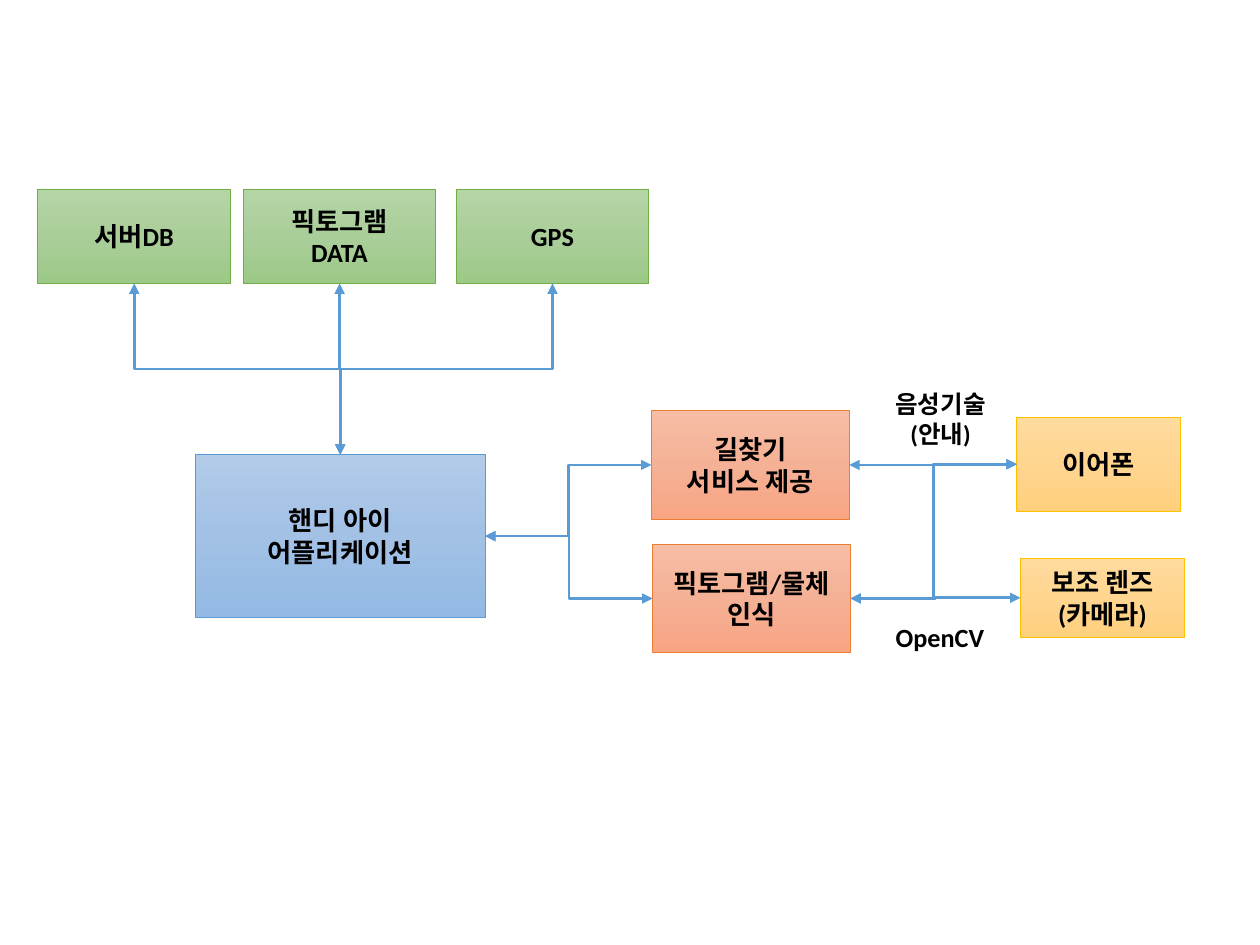
import copy
from dataclasses import dataclass

import pptx
import pptx.dml.color
import pptx.enum.shapes
import pptx.enum.text
import pptx.oxml
import pptx.oxml.ns
import pptx.util
from pptx.util import Inches

RGBColor = pptx.dml.color.RGBColor
BLACK = RGBColor(0x00, 0x00, 0x00)
BLUE = RGBColor(0x5B, 0x9B, 0xD5)
GREEN = RGBColor(0x70, 0xAD, 0x47)
ORANGE = RGBColor(0xED, 0x7D, 0x31)
GOLD = RGBColor(0xFF, 0xC0, 0x00)
FONT = "Calibri"
TOP, LEFT, BOTTOM, RIGHT = range(4)


@dataclass(frozen=True)
class Style:
    line: RGBColor
    stops: tuple[RGBColor, RGBColor, RGBColor]


@dataclass(frozen=True)
class Box:
    name: str
    text: str
    left: float
    top: float
    width: float
    height: float
    style: Style


@dataclass(frozen=True)
class Label:
    text: str
    left: float
    top: float
    width: float
    height: float
    size: int
    alignment: pptx.enum.text.PP_ALIGN


@dataclass(frozen=True)
class Link:
    begin: str
    begin_side: int
    end: str
    end_side: int


APPLICATION = Style(BLUE, (RGBColor(0xB1, 0xCB, 0xE9), RGBColor(0xA3, 0xC1, 0xE5), RGBColor(0x93, 0xB9, 0xE4)))
DATA = Style(GREEN, (RGBColor(0xB5, 0xD5, 0xA7), RGBColor(0xAA, 0xCE, 0x9A), RGBColor(0x9C, 0xC9, 0x87)))
SERVICE = Style(ORANGE, (RGBColor(0xF7, 0xBD, 0xA5), RGBColor(0xF5, 0xB1, 0x96), RGBColor(0xF8, 0xA5, 0x82)))
DEVICE = Style(GOLD, (RGBColor(0xFF, 0xDB, 0x9E), RGBColor(0xFF, 0xD5, 0x90), RGBColor(0xFF, 0xD0, 0x7C)))

BOXES = [
    Box("application", "핸디 아이\n어플리케이션", 1.55, 3.61, 2.3, 1.29, APPLICATION),
    Box("earphone", "이어폰", 8.07, 3.31, 1.3, 0.75, DEVICE),
    Box("camera", "보조 렌즈\v(카메라)", 8.1, 4.43, 1.3, 0.63, DEVICE),
    Box("gps", "GPS", 3.62, 1.5, 1.53, 0.75, DATA),
    Box("pictogram", "픽토그램\nDATA", 1.93, 1.5, 1.53, 0.75, DATA),
    Box("server", "서버DB", 0.3, 1.5, 1.53, 0.75, DATA),
    Box("navigation", "길찾기\n서비스 제공", 5.17, 3.26, 1.57, 0.86, SERVICE),
    Box("recognition", "픽토그램/물체\n인식", 5.18, 4.32, 1.57, 0.86, SERVICE),
]

LABELS = [
    Label("OpenCV", 7.01, 4.88, 0.91, 0.35, 15, pptx.enum.text.PP_ALIGN.LEFT),
    Label("음성기술\n(안내)", 6.97, 3.04, 0.99, 0.57, 14, pptx.enum.text.PP_ALIGN.CENTER),
]

LINKS = [
    Link("gps", BOTTOM, "application", TOP),
    Link("pictogram", BOTTOM, "application", TOP),
    Link("server", BOTTOM, "application", TOP),
    Link("application", RIGHT, "navigation", LEFT),
    Link("application", RIGHT, "recognition", LEFT),
    Link("navigation", RIGHT, "earphone", LEFT),
    Link("recognition", RIGHT, "camera", LEFT),
    Link("recognition", RIGHT, "earphone", LEFT),
]


def write_text(shape, text: str, size: int, alignment) -> None:
    shape.text_frame.text = text
    for paragraph in shape.text_frame.paragraphs:
        paragraph.alignment = alignment
        paragraph.font.name = FONT
        paragraph.font.size = pptx.util.Pt(size)
        paragraph.font.bold = True
        paragraph.font.color.rgb = BLACK


def fill_gradient(shape, colors: tuple[RGBColor, ...]) -> None:
    shape.fill.gradient()
    shape.fill.gradient_angle = 270
    stop_list = next(shape.element.spPr.iter(pptx.oxml.ns.qn("a:gsLst")))
    stop_list.append(copy.deepcopy(stop_list[0]))
    for index, (stop, color) in enumerate(zip(shape.fill.gradient_stops, colors)):
        stop.position = index / (len(colors) - 1)
        stop.color.rgb = color


def draw_box(slide, box: Box):
    shape = slide.shapes.add_shape(
        pptx.enum.shapes.MSO_SHAPE.RECTANGLE,
        Inches(box.left), Inches(box.top), Inches(box.width), Inches(box.height),
    )
    shape.shadow.inherit = False
    fill_gradient(shape, box.style.stops)
    shape.line.color.rgb = box.style.line
    shape.line.width = pptx.util.Pt(0.5)
    shape.text_frame.vertical_anchor = pptx.enum.text.MSO_ANCHOR.MIDDLE
    write_text(shape, box.text, 15, pptx.enum.text.PP_ALIGN.CENTER)
    return shape


def draw_label(slide, label: Label) -> None:
    shape = slide.shapes.add_textbox(
        Inches(label.left), Inches(label.top), Inches(label.width), Inches(label.height)
    )
    shape.text_frame.word_wrap = False
    shape.text_frame.auto_size = pptx.enum.text.MSO_AUTO_SIZE.SHAPE_TO_FIT_TEXT
    write_text(shape, label.text, label.size, label.alignment)


def turn_upright(connector) -> None:
    goes_right = connector.end_x > connector.begin_x
    center_x = (connector.begin_x + connector.end_x) // 2
    center_y = (connector.begin_y + connector.end_y) // 2
    connector.width, connector.height = connector.height, connector.width
    connector.left = center_x - connector.width // 2
    connector.top = center_y - connector.height // 2
    transform = connector.element.spPr.find(pptx.oxml.ns.qn("a:xfrm"))
    transform.attrib.clear()
    transform.set("rot", "16200000" if goes_right else "5400000")
    if goes_right:
        transform.set("flipH", "1")


def draw_link(slide, link: Link, shapes: dict) -> None:
    connector = slide.shapes.add_connector(
        pptx.enum.shapes.MSO_CONNECTOR.ELBOW, 0, 0, 0, 0
    )
    connector.begin_connect(shapes[link.begin], link.begin_side)
    connector.end_connect(shapes[link.end], link.end_side)
    if link.begin_side == BOTTOM:
        turn_upright(connector)
    connector.line.color.rgb = BLUE
    connector.line.width = pptx.util.Pt(1.5)
    line = connector.element.spPr.find(pptx.oxml.ns.qn("a:ln"))
    for tag in ("headEnd", "tailEnd"):
        arrowhead = pptx.oxml.parse_xml(f'<a:{tag} {pptx.oxml.ns.nsdecls("a")} type="triangle"/>')
        line.append(arrowhead)
    connector.element.spPr.append(
        pptx.oxml.parse_xml(f'<a:effectLst {pptx.oxml.ns.nsdecls("a")}/>')
    )


def main() -> None:
    presentation = pptx.Presentation()
    presentation.slide_width = Inches(10)
    presentation.slide_height = Inches(7.5)
    slide = presentation.slides.add_slide(presentation.slide_layouts[6])
    shapes = {box.name: draw_box(slide, box) for box in BOXES}
    for label in LABELS:
        draw_label(slide, label)
    for link in LINKS:
        draw_link(slide, link, shapes)
    presentation.save("out.pptx")


if __name__ == "__main__":
    main()
